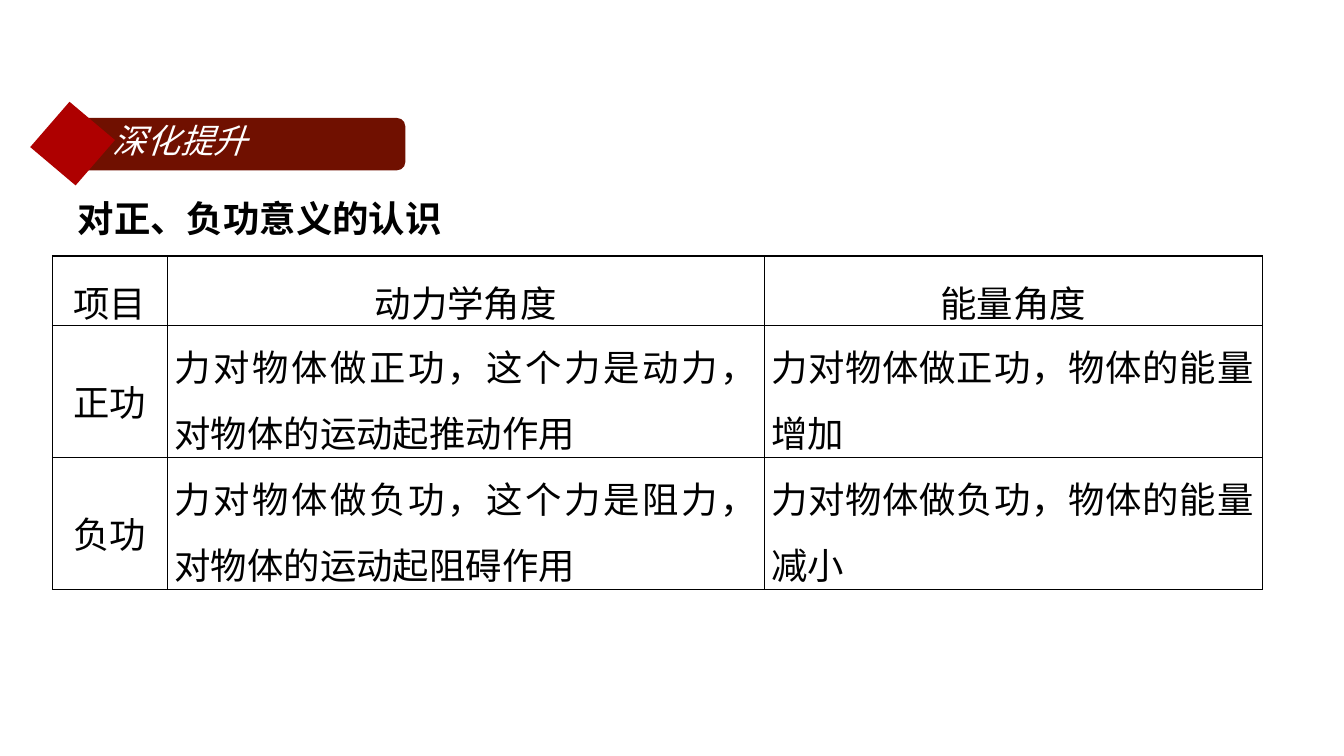
"""Build the slide on the meaning of positive and negative work."""
from dataclasses import dataclass

from pptx import Presentation
from pptx.dml.color import RGBColor
from pptx.enum.shapes import MSO_SHAPE
from pptx.enum.text import MSO_ANCHOR, PP_ALIGN
from pptx.oxml.ns import qn
from pptx.util import Inches, Pt
from lxml.etree import SubElement

FONT = "Noto Sans CJK SC"
COLORS = {"banner": "701000", "diamond": "AE0000", "light": "FFFFFF", "ink": "000000"}
COLUMN_WIDTHS = (1.14, 5.92, 4.94)
ROW_HEIGHTS = (0.69, 1.31, 1.31)
HEADINGS = ("项目", "动力学角度", "能量角度")


@dataclass(frozen=True)
class Work:
    name: str
    force: str
    motion: str
    energy: str
    change: str


WORKS = (
    Work("正功", "力对物体做正功，这个力是动力", "， 对物体的运动起推动作用",
         "力对物体做正功，物体的能", "量 增加"),
    Work("负功", "力对物体做负功，这个力是阻力", "， 对物体的运动起阻碍作用",
         "力对物体做负功，物体的能", "量 减小"),
)


def write(frame, *texts: str, size: float = 26, color: str = "ink", bold: bool = False,
          italic: bool = False, align=PP_ALIGN.LEFT, leading: float | None = None,
          tracking: float = 0) -> None:
    paragraph = frame.paragraphs[0]
    paragraph.alignment = align
    if leading:
        paragraph.line_spacing = Pt(leading)
    for position, text in enumerate(texts):
        run = paragraph.add_run()
        run.text = text
        font = run.font
        font.size, font.bold, font.italic, font.name = Pt(size), bold, italic, FONT
        font.color.rgb = RGBColor.from_string(COLORS[color])
        properties = run._r.get_or_add_rPr()
        SubElement(properties, qn("a:ea")).set("typeface", FONT)
        if position == 0 and tracking:
            properties.set("spc", str(round(tracking * 100)))


def paint(shape, color: str) -> None:
    shape.shadow.inherit = False
    shape.fill.solid()
    shape.fill.fore_color.rgb = RGBColor.from_string(COLORS[color])
    shape.line.fill.background()


def add_label(slide, left: float, top: float, width: float, height: float,
              text: str, **style) -> None:
    frame = slide.shapes.add_textbox(
        Inches(left), Inches(top), Inches(width), Inches(height)).text_frame
    frame.word_wrap = True
    frame.vertical_anchor = MSO_ANCHOR.MIDDLE
    frame.margin_left = frame.margin_right = frame.margin_top = frame.margin_bottom = 0
    write(frame, text, **style)


def outline(cell) -> None:
    properties = cell._tc.get_or_add_tcPr()
    for position, side in enumerate(("lnL", "lnR", "lnT", "lnB")):
        border = properties.makeelement(qn(f"a:{side}"), {"w": str(Pt(1))})
        fill = SubElement(border, qn("a:solidFill"))
        SubElement(fill, qn("a:srgbClr")).set("val", COLORS["ink"])
        properties.insert(position, border)


def fill_cell(cell, *texts: str, top: float, left: float = 0, **style) -> None:
    cell.fill.background()
    outline(cell)
    cell.margin_left, cell.margin_top = Inches(left), Inches(top)
    cell.margin_right = cell.margin_bottom = 0
    write(cell.text_frame, *texts, **style)


def add_banner(slide) -> None:
    banner = slide.shapes.add_shape(
        MSO_SHAPE.ROUNDED_RECTANGLE, Inches(0.64), Inches(1.17), Inches(3.38), Inches(0.52))
    banner.adjustments[0] = 0.16
    paint(banner, "banner")
    corners = [(Inches(x), Inches(y)) for x, y in
               ((0.75, 1.84), (0.3, 1.46), (0.69, 1.01), (1.14, 1.39))]
    builder = slide.shapes.build_freeform(*corners[0])
    builder.add_line_segments(corners[1:], close=True)
    paint(builder.convert_to_shape(), "diamond")
    add_label(slide, 1.12, 1.17, 1.36, 0.43, "深化提升", size=24, color="light", italic=True)


def add_comparison(slide) -> None:
    table = slide.shapes.add_table(
        len(ROW_HEIGHTS), len(COLUMN_WIDTHS), Inches(0.52), Inches(2.54),
        Inches(sum(COLUMN_WIDTHS)), Inches(sum(ROW_HEIGHTS))).table
    table.first_row = table.horz_banding = False
    for column, width in zip(table.columns, COLUMN_WIDTHS):
        column.width = Inches(width)
    for row, height in zip(table.rows, ROW_HEIGHTS):
        row.height = Inches(height)
    for column, heading in enumerate(HEADINGS):
        fill_cell(table.cell(0, column), heading, top=0.19, align=PP_ALIGN.CENTER)
    for row, work in enumerate(WORKS, start=1):
        fill_cell(table.cell(row, 0), work.name, top=0.48, align=PP_ALIGN.CENTER)
        fill_cell(table.cell(row, 1), work.force, work.motion,
                  top=0.01, left=0.07, leading=46.8, tracking=1.8)
        fill_cell(table.cell(row, 2), work.energy, work.change,
                  top=0.01, left=0.07, leading=46.8, tracking=0.5)


def main() -> None:
    presentation = Presentation()
    presentation.slide_width, presentation.slide_height = Inches(13.33), Inches(7.5)
    slide = presentation.slides.add_slide(presentation.slide_layouts[6])
    add_banner(slide)
    add_label(slide, 0.77, 1.93, 3.66, 0.46, "对正、负功意义的认识", bold=True)
    add_comparison(slide)
    presentation.save("out.pptx")


if __name__ == "__main__":
    main()
